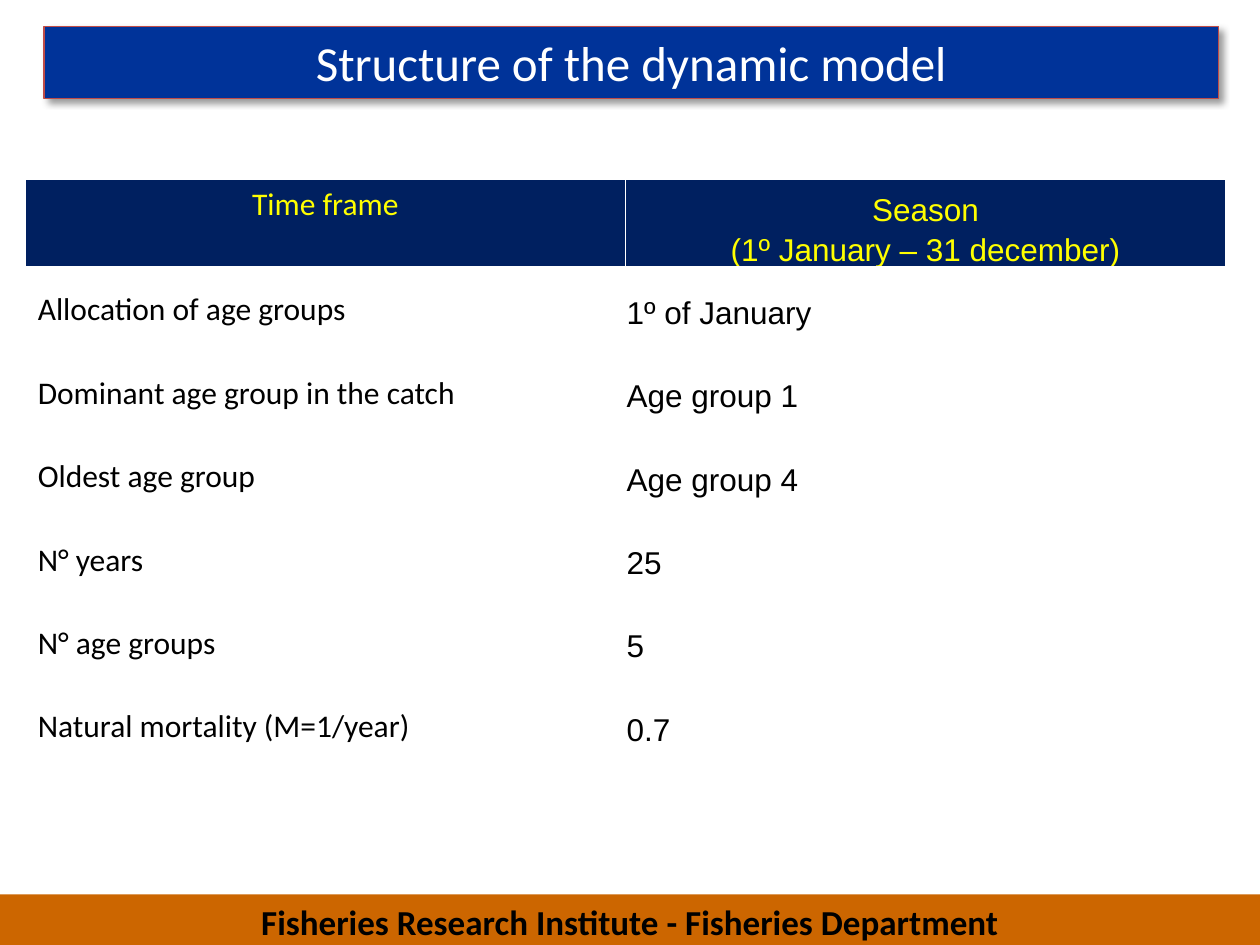
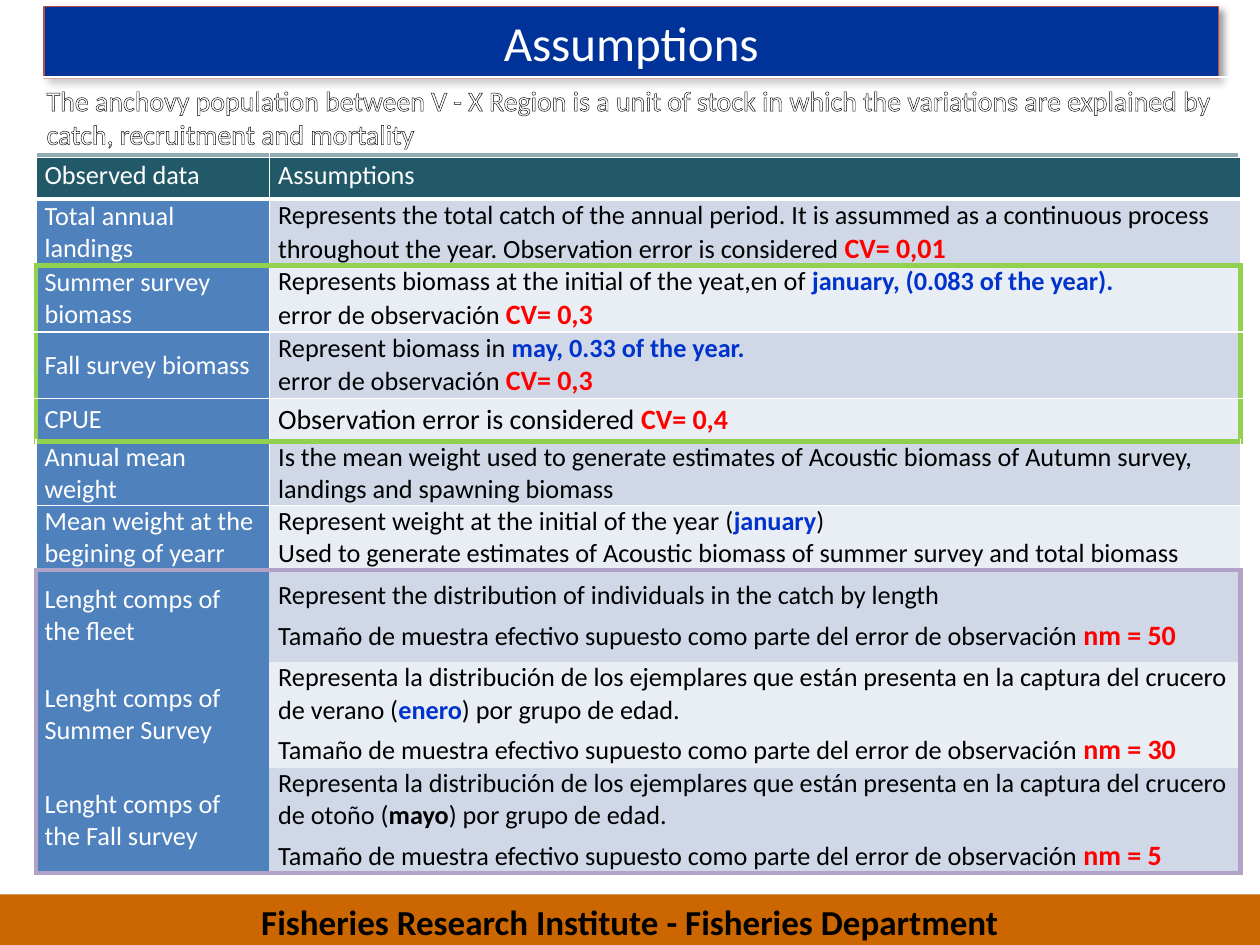
from lxml.etree import SubElement
from pptx import Presentation
from pptx.dml.color import RGBColor
from pptx.enum.shapes import MSO_SHAPE as Shape
from pptx.enum.text import MSO_ANCHOR as Anchor, MSO_AUTO_SIZE as AutoSize, PP_ALIGN as Align
from pptx.oxml.ns import qn
from pptx.util import Pt

WHITE = RGBColor(0xFF, 0xFF, 0xFF)
BLACK = RGBColor(0x00, 0x00, 0x00)
RED = RGBColor(0xFF, 0x00, 0x00)
DATE_BLUE = RGBColor(0x00, 0x33, 0xCC)
TITLE_BLUE = RGBColor(0x00, 0x33, 0x99)
TITLE_EDGE = RGBColor(0xBF, 0x4C, 0x48)
FOOTER_ORANGE = RGBColor(0xCC, 0x66, 0x00)
NAVY = RGBColor(0x00, 0x20, 0x60)
YELLOW = RGBColor(0xFF, 0xFF, 0x00)
TEAL = RGBColor(0x21, 0x59, 0x68)
LABEL_BLUE = RGBColor(0x4F, 0x81, 0xBD)
BANDS = (RGBColor(0xD0, 0xD8, 0xE8), RGBColor(0xE9, 0xED, 0xF4))
GREEN = RGBColor(0x92, 0xD0, 0x50)
PURPLE = RGBColor(0xB3, 0xA2, 0xC7)

ERROR = dict(size=16, color=RED, bold=True)
DATE = dict(color=DATE_BLUE, bold=True)
LARGE = dict(size=16)
BOLD = dict(bold=True)

FOOTER = "Fisheries Research Institute - Fisheries Department"

MODEL_TITLE = "Structure of the dynamic model"
MODEL_HEADER = ("Time frame", ["Season", "(1º January – 31 december)"])
MODEL_ROWS = [
    ("Allocation of age groups", "1º of January"),
    ("Dominant age group in the catch", "Age group 1"),
    ("Oldest age group", "Age group 4"),
    ("N° years", "25"),
    ("N° age groups", "5"),
    ("Natural mortality (M=1/year)", "0.7"),
]

ASSUMPTIONS_TITLE = "Assumptions"
STOCK_UNIT = ("The anchovy population between V - X Region is a unit of stock in which "
              "the variations are explained by catch, recruitment and mortality")
ASSUMPTIONS_HEADER = ("Observed data", "Assumptions")
SURVEY_ERROR = ["error de observación ", ("CV= 0,3", ERROR)]
SAMPLE = "Tamaño de muestra efectivo supuesto como parte del error de observación "
DISTRIBUTION = ("Representa la distribución de los ejemplares que están presenta "
                "en la captura del crucero de ")
BY_AGE = ") por grupo de edad."

# Row height, observed data, paragraphs of runs
ASSUMPTIONS = [
    (24.5, "Total annual landings", [
        ["Represents the total catch of the annual period. It is assummed as a continuous "
         "process throughout the year. Observation error is considered ", ("CV= 0,01", ERROR)]]),
    (36.7, "Summer survey biomass", [
        ["Represents biomass at the initial of the yeat,en of ",
         ("january, (0.083 of the year).", DATE)],
        SURVEY_ERROR]),
    (24.5, "Fall survey biomass", [
        ["Represent biomass in ", ("may, 0.33 of the year.", DATE)],
        SURVEY_ERROR]),
    (24.5, "CPUE", [[("Observation error is considered ", LARGE), ("CV= 0,4", ERROR)]]),
    (24.5, "Annual mean weight", [
        "Is the mean weight used to generate estimates of Acoustic biomass of Autumn survey, "
        "landings and spawning biomass"]),
    (24.5, "Mean weight at the begining of yearr", [
        ["Represent weight at the initial of the year (", ("january", DATE), ")"],
        "Used to generate estimates of Acoustic biomass of summer survey and total biomass"]),
    (52.6, "Lenght comps of the fleet", [
        "Represent the distribution of individuals in the catch by length",
        [SAMPLE, ("nm = 50", ERROR)]]),
    (52.6, "Lenght comps of Summer Survey", [
        [DISTRIBUTION + "verano (", ("enero", DATE), BY_AGE],
        [SAMPLE, ("nm = 30", ERROR)]]),
    (52.6, "Lenght comps of the Fall survey", [
        [DISTRIBUTION + "otoño (", ("mayo", BOLD), BY_AGE],
        [SAMPLE, ("nm = 5", ERROR)]]),
]
SURVEY_GROUP = (2, 4)
LENGTH_GROUP = (7, 9)

NO_LINE = (None, 0)
THIN = (WHITE, 1)
GRID = dict(L=THIN, R=THIN, T=THIN, B=THIN)
HEADER_GRID = {**GRID, "B": (WHITE, 3)}


def write(frame, paragraphs, size=18, color=BLACK, font="Calibri", bold=False,
          align=Align.LEFT, spacing=None, after=0):
    """Fill a text frame; a run is a string or a (string, format changes) pair."""
    if isinstance(paragraphs, str):
        paragraphs = [paragraphs]
    for index, runs in enumerate(paragraphs):
        paragraph = frame.add_paragraph() if index else frame.paragraphs[0]
        paragraph.alignment = align
        paragraph.space_before, paragraph.space_after = Pt(0), Pt(after)
        if spacing:
            paragraph.line_spacing = spacing
        for part in [runs] if isinstance(runs, str) else runs:
            text, changes = (part, {}) if isinstance(part, str) else part
            look = {"size": size, "color": color, "bold": bold, **changes}
            run = paragraph.add_run()
            run.text = text
            run.font.name = font
            run.font.size = Pt(look["size"])
            run.font.bold = look["bold"]
            run.font.color.rgb = look["color"]


def add_color(parent, color, alpha=None):
    node = SubElement(parent, qn("a:srgbClr"), val=str(color))
    if alpha:
        SubElement(node, qn("a:alpha"), val=str(alpha * 1000))


def place(shape, left, top, width, height):
    shape.left, shape.top, shape.width, shape.height = map(Pt, (left, top, width, height))


def paint(shape, fill, line=None):
    shape.fill.solid()
    shape.fill.fore_color.rgb = fill
    if line:
        shape.line.color.rgb = line
        shape.line.width = Pt(0.75)
    else:
        shape.line.fill.background()


def add_band(slide, box, fill, line=None):
    band = slide.shapes.add_shape(Shape.RECTANGLE, *map(Pt, box))
    band.shadow.inherit = False
    paint(band, fill, line)
    band.text_frame.word_wrap = True
    band.text_frame.vertical_anchor = Anchor.TOP
    return band


def add_slide(deck, title_text, title_top):
    """Add a slide with the shared footer and shadowed title bar."""
    slide = deck.slides.add_slide(deck.slide_layouts[5])
    footer = add_band(slide, (0, 511, 720, 31.5), FOOTER_ORANGE)
    write(footer.text_frame, FOOTER, size=20, bold=True, align=Align.CENTER)

    title = slide.shapes.title
    place(title, 25.2, title_top, 671, 41.2)
    paint(title, TITLE_BLUE, TITLE_EDGE)
    title.text_frame.auto_size = AutoSize.NONE
    title.text_frame.vertical_anchor = Anchor.TOP
    write(title.text_frame, title_text, size=28, color=WHITE, align=Align.CENTER)
    effects = SubElement(title.element.spPr, qn("a:effectLst"))
    shadow = SubElement(effects, qn("a:outerShdw"), blurRad=str(Pt(4)), dist=str(Pt(3)),
                        dir=str(45 * 60000), algn="tl", rotWithShape="0")
    add_color(shadow, BLACK, 40)
    return slide


def add_grid(slide, left, top, widths, heights):
    table = slide.shapes.add_table(len(heights), len(widths), Pt(left), Pt(top),
                                   Pt(sum(widths)), Pt(sum(heights))).table
    for column, width in zip(table.columns, widths):
        column.width = Pt(width)
    for row, height in zip(table.rows, heights):
        row.height = Pt(height)
    return table


def fill_cell(cell, paragraphs, fill, borders, margins, anchor=Anchor.MIDDLE, **look):
    properties = cell._tc.get_or_add_tcPr()
    for side in "LRTB":
        color, width = borders[side]
        line = SubElement(properties, qn(f"a:ln{side}"), w=str(Pt(width)))
        if color is None:
            SubElement(line, qn("a:noFill"))
        else:
            add_color(SubElement(line, qn("a:solidFill")), color)
    cell.fill.solid()
    cell.fill.fore_color.rgb = fill
    cell.vertical_anchor = anchor
    (cell.margin_left, cell.margin_top,
     cell.margin_right, cell.margin_bottom) = map(Pt, margins)
    write(cell.text_frame, paragraphs, **look)


def assumption_borders(row, column):
    """Thick frames round the two row groups, thin white lines elsewhere."""
    borders = dict(GRID)
    for (first, last), color, inner in ((SURVEY_GROUP, GREEN, THIN),
                                        (LENGTH_GROUP, PURPLE, NO_LINE)):
        edge = (color, 3)
        if first <= row <= last:
            borders = dict(L=inner if column else edge, R=edge if column else inner,
                           T=edge if row == first else inner,
                           B=edge if row == last else inner)
        elif row == first - 1:
            borders["B"] = edge
        elif row == last + 1:
            borders["T"] = edge
    return borders


def build_model(deck):
    slide = add_slide(deck, MODEL_TITLE, 15)
    table = add_grid(slide, 14.4, 102.3, [343, 343], [51] + [47.7] * len(MODEL_ROWS))
    columns = [dict(margins=(7.2, 3.6, 7.2, 3.6)),
               dict(margins=(0.7, 0.7, 0.7, 0), font="Arial", spacing=1.15)]
    for column, (text, anchor) in enumerate(zip(MODEL_HEADER, (Anchor.TOP, Anchor.BOTTOM))):
        fill_cell(table.cell(0, column), text, NAVY, HEADER_GRID, anchor=anchor,
                  color=YELLOW, align=Align.CENTER, **columns[column])
    for row, texts in enumerate(MODEL_ROWS, 1):
        for column, text in enumerate(texts):
            fill_cell(table.cell(row, column), text, WHITE, GRID, **columns[column])


def build_assumptions(deck):
    slide = add_slide(deck, ASSUMPTIONS_TITLE, 3.6)
    heights = [26.6] + [height for height, _, _ in ASSUMPTIONS]
    table = add_grid(slide, 20.5, 87.2, [133.5, 555], heights)
    look = dict(margins=(5, 0, 5, 0), size=15)
    for column, text in enumerate(ASSUMPTIONS_HEADER):
        fill_cell(table.cell(0, column), text, TEAL, HEADER_GRID, color=WHITE, **look)
    for row, (_, observed, assumption) in enumerate(ASSUMPTIONS, 1):
        fill_cell(table.cell(row, 0), observed, LABEL_BLUE, assumption_borders(row, 0),
                  color=WHITE, **look)
        fill_cell(table.cell(row, 1), assumption, BANDS[(row - 1) % 2],
                  assumption_borders(row, 1), after=4 if row >= LENGTH_GROUP[0] else 0, **look)

    stock = add_band(slide, (19.5, 44, 688.5, 46), WHITE, WHITE)
    SubElement(stock.element.spPr.find(f"{qn('a:solidFill')}/{qn('a:srgbClr')}"),
               qn("a:alpha"), val="50000")
    write(stock.text_frame, STOCK_UNIT, size=16, color=WHITE)
    run_properties = stock.text_frame.paragraphs[0].runs[0].font._element
    outline = SubElement(run_properties, qn("a:ln"), w=str(Pt(0.75)))
    add_color(SubElement(outline, qn("a:solidFill")), BLACK)
    run_properties.insert(0, outline)


def main():
    deck = Presentation()
    deck.slide_width, deck.slide_height = Pt(720), Pt(540)
    build_model(deck)
    build_assumptions(deck)
    deck.save("out.pptx")


if __name__ == "__main__":
    main()
